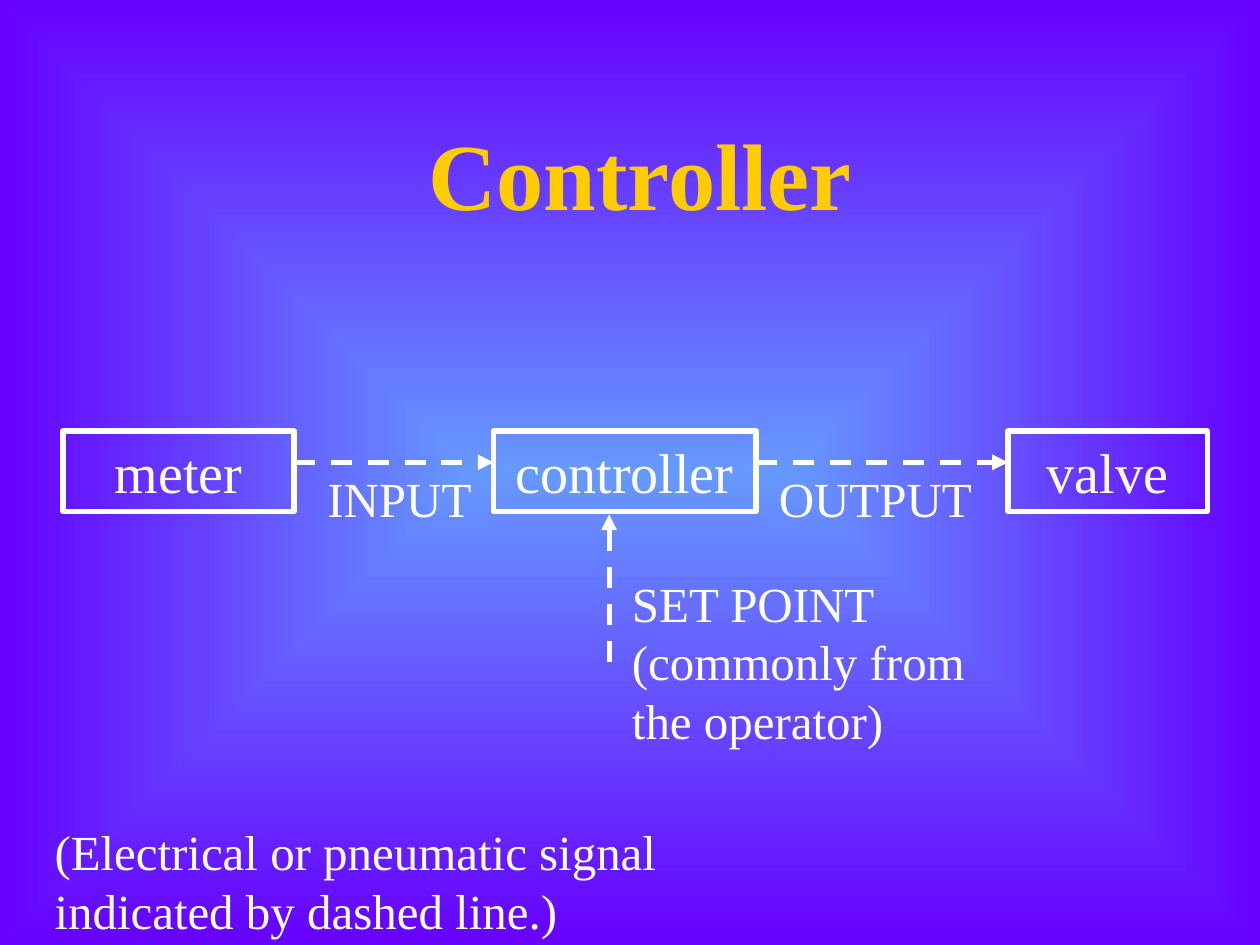
"""Build the Controller slide: a meter, controller and valve joined by dashed signals."""
import pptx
import pptx.dml.color
import pptx.enum.dml
import pptx.enum.shapes
import pptx.enum.text
import pptx.oxml
import pptx.oxml.ns
import pptx.util
from pptx.util import Cm

WHITE = pptx.dml.color.RGBColor(0xFF, 0xFF, 0xFF)
GOLD = pptx.dml.color.RGBColor(0xFF, 0xCC, 0x00)
SKY = pptx.dml.color.RGBColor(0x66, 0x99, 0xFF)
VIOLET = pptx.dml.color.RGBColor(0x66, 0x00, 0xFF)
FONT = "Times New Roman"
LEFT = pptx.enum.text.PP_ALIGN.LEFT
CENTER = pptx.enum.text.PP_ALIGN.CENTER
TOP = pptx.enum.text.MSO_ANCHOR.TOP
MIDDLE = pptx.enum.text.MSO_ANCHOR.MIDDLE
GROW = pptx.enum.text.MSO_AUTO_SIZE.SHAPE_TO_FIT_TEXT
FIXED = pptx.enum.text.MSO_AUTO_SIZE.NONE

BOX_TOP, BOX_HEIGHT = Cm(8.69), Cm(1.62)
SIGNAL_Y = Cm(9.32)
CAPTION_HEIGHT = Cm(1.45)


def write(box, text, size=28, color=WHITE, bold=False, align=LEFT, anchor=TOP, fit=GROW):
    """Put one formatted paragraph into a shape."""
    frame = box.text_frame
    frame.word_wrap = True
    frame.auto_size = fit
    frame.vertical_anchor = anchor
    para = frame.paragraphs[0]
    para.alignment = align
    span = para.add_run()
    span.text = text
    span.font.name = FONT
    span.font.size = pptx.util.Pt(size)
    span.font.bold = bold
    span.font.color.rgb = color


def paint_background(page):
    """Fill the background with a gradient running out from the centre."""
    fill = page.background.fill
    fill.gradient()
    for stop, color in zip(fill.gradient_stops, (SKY, VIOLET)):
        stop.color.rgb = color
    linear = page.element.find(".//" + pptx.oxml.ns.qn("a:lin"))
    centre = pptx.oxml.parse_xml(
        f'<a:path {pptx.oxml.ns.nsdecls("a")} path="rect">'
        '<a:fillToRect l="50000" t="50000" r="50000" b="50000"/></a:path>'
    )
    linear.getparent().replace(linear, centre)


def add_title(page, text):
    """Place and format the slide title."""
    title = page.shapes.title
    title.left, title.top, title.width, title.height = Cm(2.11), Cm(1.9), Cm(21.59), Cm(3.18)
    write(title, text, size=54, color=GOLD, bold=True, align=CENTER, anchor=MIDDLE, fit=FIXED)


def add_device(page, text, left, width):
    """Add an outlined device box and return it."""
    box = page.shapes.add_shape(
        pptx.enum.shapes.MSO_SHAPE.RECTANGLE, left, BOX_TOP, width, BOX_HEIGHT
    )
    box.shadow.inherit = False
    box.fill.background()
    box.line.color.rgb = WHITE
    box.line.width = pptx.util.Pt(3)
    write(box, text, size=32, align=CENTER)
    return box


def add_caption(page, text, left, top, width, height=CAPTION_HEIGHT):
    """Add a plain text label."""
    write(page.shapes.add_textbox(left, top, width, height), text)


def add_signal(page, start, end):
    """Add a dashed arrow between two points."""
    arrow = page.shapes.add_connector(
        pptx.enum.shapes.MSO_CONNECTOR.STRAIGHT, *start, *end
    )
    arrow.line.color.rgb = WHITE
    arrow.line.width = pptx.util.Pt(3)
    arrow.line.dash_style = pptx.enum.dml.MSO_LINE.DASH
    qn = pptx.oxml.ns.qn
    outline = arrow.line._get_or_add_ln()
    outline.append(outline.makeelement(qn("a:tailEnd"), {"type": "triangle"}))
    outline.addnext(outline.makeelement(qn("a:effectLst"), {}))


def main():
    """Build and save the deck."""
    deck = pptx.Presentation()
    deck.slide_width, deck.slide_height = Cm(25.4), Cm(19.05)
    page = deck.slides.add_slide(deck.slide_layouts.get_by_name("Title Only"))
    paint_background(page)
    add_title(page, "Controller")

    controller = add_device(page, "controller", Cm(9.95), Cm(5.29))
    meter = add_device(page, "meter", Cm(1.27), Cm(4.66))
    valve = add_device(page, "valve", Cm(20.32), Cm(4.02))

    add_caption(page, "(Electrical or pneumatic signal indicated by dashed line.)",
                Cm(0.85), Cm(16.43), Cm(14.39), Cm(2.64))
    add_caption(page, "INPUT", Cm(6.35), SIGNAL_Y, Cm(4.66))
    add_caption(page, "OUTPUT", Cm(15.45), SIGNAL_Y, Cm(4.45))
    add_caption(page, "SET POINT (commonly from the operator)",
                Cm(12.49), Cm(11.43), Cm(8.04), Cm(3.81))

    for source, target in ((meter, controller), (controller, valve)):
        add_signal(page, (source.left + source.width, SIGNAL_Y), (target.left, SIGNAL_Y))
    add_signal(page, (Cm(12.28), Cm(13.34)), (Cm(12.28), Cm(10.37)))

    deck.save("out.pptx")


if __name__ == "__main__":
    main()
